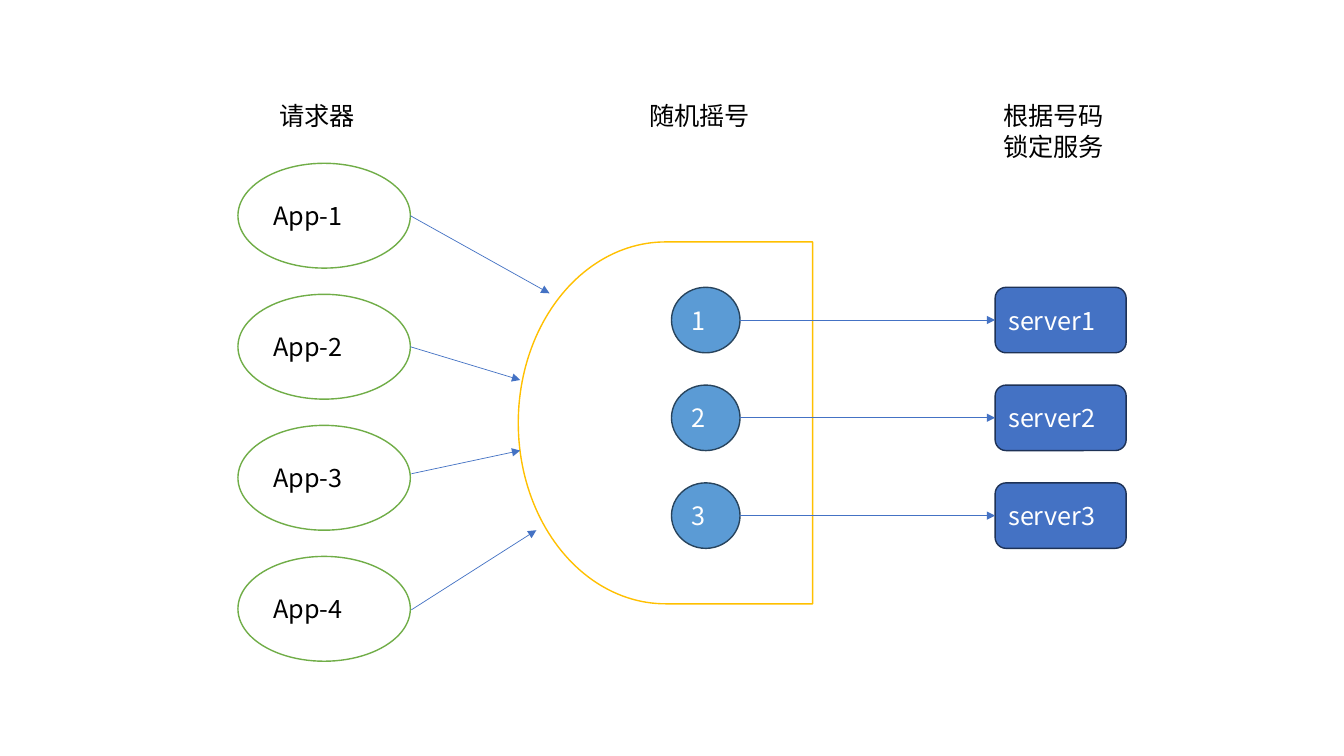
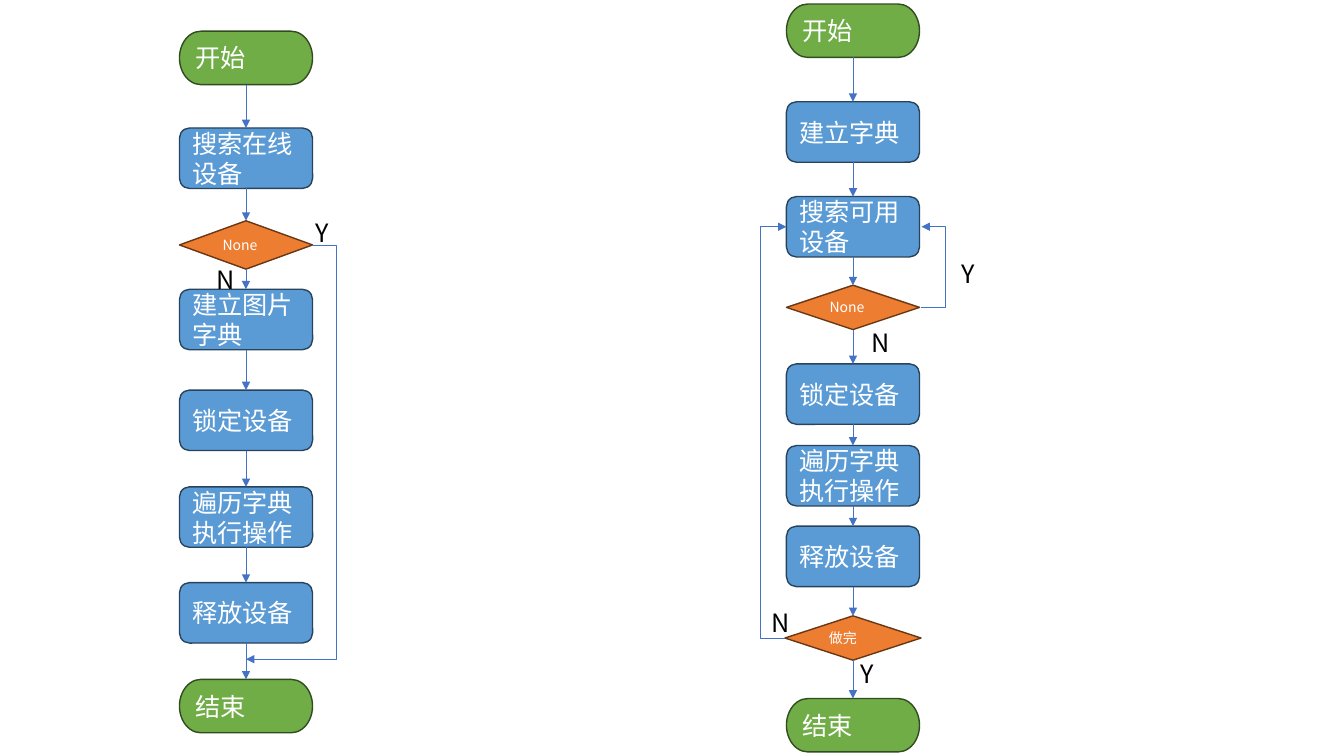
"""Builds two slides: a random server draw and a pair of device flowcharts."""
from dataclasses import dataclass
from itertools import pairwise
from typing import NamedTuple, Optional

from lxml.etree import SubElement
from pptx import Presentation
from pptx.dml.color import RGBColor
from pptx.enum.shapes import MSO_CONNECTOR as Connector, MSO_SHAPE as Preset
from pptx.oxml.ns import qn
from pptx.shapes.autoshape import Shape
from pptx.shapes.connector import Connector as ConnectorShape
from pptx.slide import Slide
from pptx.text.text import TextFrame
from pptx.util import Inches, Pt


@dataclass(frozen=True)
class Theme:
    font: str = "Noto Sans CJK SC"
    body: float = 18
    small: float = 10
    outline: float = 1
    arrow_width: float = 0.5
    black: str = "000000"
    white: str = "FFFFFF"
    arrow: str = "4472C4"
    green: str = "70AD47"
    green_edge: str = "314C1F"
    light_blue: str = "5B9BD5"
    light_blue_edge: str = "28445D"
    blue: str = "4472C4"
    blue_edge: str = "1E3256"
    orange: str = "ED7D31"
    orange_edge: str = "683715"
    gold: str = "FFC000"


THEME = Theme()


class Point(NamedTuple):
    x: float
    y: float


class Box(NamedTuple):
    left: float
    top: float
    width: float
    height: float


@dataclass(frozen=True)
class Look:
    preset: Preset
    fill: str
    edge: str
    text: str = THEME.white
    size: float = THEME.body


APP = Look(Preset.OVAL, THEME.white, THEME.green, THEME.black)
DRAW_AREA = Look(Preset.FLOWCHART_DELAY, THEME.white, THEME.gold)
NUMBER = Look(Preset.FLOWCHART_CONNECTOR, THEME.light_blue, THEME.light_blue_edge)
SERVER = Look(Preset.ROUNDED_RECTANGLE, THEME.blue, THEME.blue_edge)
TERMINAL = Look(Preset.FLOWCHART_TERMINATOR, THEME.green, THEME.green_edge)
PROCESS = Look(Preset.ROUNDED_RECTANGLE, THEME.light_blue, THEME.light_blue_edge)
DECISION = Look(Preset.FLOWCHART_DECISION, THEME.orange, THEME.orange_edge, size=THEME.small)

STEP_WIDTH = 1.32


class Step(NamedTuple):
    look: Look
    text: str
    top: float
    height: float
    width: float = STEP_WIDTH


class Detour(NamedTuple):
    start: Point
    end: Point
    lane: float


class Label(NamedTuple):
    text: str
    box: Box
    wrap: bool = True


class Flow(NamedTuple):
    left: float
    steps: list[Step]
    detours: list[Detour]
    labels: list[Label]


class Request(NamedTuple):
    text: str
    start: Point
    end: Point


HEADINGS = [
    Label("请求器", Box(2.67, 0.95, 1.1, 0.4)),
    Label("随机摇号", Box(6.34, 0.95, 1.3, 0.4)),
    Label("根据号码锁定服务", Box(9.85, 0.95, 1.3, 0.71)),
]

REQUESTS = [
    Request("App-1", Point(4.07, 2.14), Point(5.45, 2.91)),
    Request("App-2", Point(4.07, 3.44), Point(5.16, 3.77)),
    Request("App-3", Point(4.08, 4.7), Point(5.16, 4.47)),
    Request("App-4", Point(4.08, 6.05), Point(5.32, 5.26)),
]


def branch(text: str, left: float, top: float) -> Label:
    """Return a Y or N label that does not wrap."""
    return Label(text, Box(left, top, 0.36, 0.4), wrap=False)


FLOWS = [
    Flow(
        1.78,
        [
            Step(TERMINAL, "开始", 0.31, 0.53),
            Step(PROCESS, "搜索在线设备", 1.27, 0.6),
            Step(DECISION, "None", 2.19, 0.48),
            Step(PROCESS, "建立图片字典", 2.87, 0.6),
            Step(PROCESS, "锁定设备", 3.87, 0.6),
            Step(PROCESS, "遍历字典执行操作", 4.83, 0.6),
            Step(PROCESS, "释放设备", 5.78, 0.6),
            Step(TERMINAL, "结束", 6.74, 0.53),
        ],
        [Detour(Point(3.09, 2.43), Point(2.44, 6.54), 3.34)],
        [branch("N", 2.05, 2.57), branch("Y", 3.03, 2.11)],
    ),
    Flow(
        7.8,
        [
            Step(TERMINAL, "开始", 0.04, 0.53),
            Step(PROCESS, "建立字典", 1.01, 0.6),
            Step(PROCESS, "搜索可用设备", 1.95, 0.6),
            Step(DECISION, "None", 2.83, 0.44),
            Step(PROCESS, "锁定设备", 3.61, 0.6),
            Step(PROCESS, "遍历字典执行操作", 4.42, 0.6),
            Step(PROCESS, "释放设备", 5.22, 0.6),
            Step(DECISION, "做完", 6.11, 0.44, 1.35),
            Step(TERMINAL, "结束", 6.93, 0.53),
        ],
        [
            Detour(Point(9.13, 3.05), Point(9.14, 2.25), 9.38),
            Detour(Point(7.79, 6.33), Point(7.8, 2.25), 7.54),
        ],
        [
            branch("N", 8.55, 3.2),
            branch("Y", 9.44, 2.51),
            branch("N", 7.55, 5.98),
            branch("Y", 8.44, 6.48),
        ],
    ),
]


def write(text_frame: TextFrame, text: str, size: float, color: str) -> None:
    """Set the text and format its runs."""
    text_frame.text = text
    for paragraph in text_frame.paragraphs:
        for run in paragraph.runs:
            run.font.size = Pt(size)
            run.font.color.rgb = RGBColor.from_string(color)
            run.font.name = THEME.font
            SubElement(run.font._element, qn("a:ea"), typeface=THEME.font)


def add_node(slide: Slide, look: Look, box: Box, text: str = "") -> Shape:
    """Draw a preset shape with an optional centred text."""
    shape = slide.shapes.add_shape(look.preset, *map(Inches, box))
    shape.shadow.inherit = False
    shape.fill.solid()
    shape.fill.fore_color.rgb = RGBColor.from_string(look.fill)
    shape.line.color.rgb = RGBColor.from_string(look.edge)
    shape.line.width = Pt(THEME.outline)
    if text:
        write(shape.text_frame, text, look.size, look.text)
    return shape


def add_label(slide: Slide, label: Label) -> None:
    """Draw a plain text box."""
    shape = slide.shapes.add_textbox(*map(Inches, label.box))
    shape.text_frame.word_wrap = label.wrap
    write(shape.text_frame, label.text, THEME.body, THEME.black)


def add_arrow(
    slide: Slide, start: Point, end: Point, lane: Optional[float] = None
) -> ConnectorShape:
    """Draw a straight arrow, or an elbow that runs along a vertical lane."""
    kind = Connector.STRAIGHT if lane is None else Connector.ELBOW
    arrow = slide.shapes.add_connector(kind, *map(Inches, (*start, *end)))
    arrow.line.color.rgb = RGBColor.from_string(THEME.arrow)
    arrow.line.width = Pt(THEME.arrow_width)
    properties = arrow._element.spPr
    SubElement(properties.find(qn("a:ln")), qn("a:tailEnd"), type="triangle")
    SubElement(properties, qn("a:effectLst"))
    if lane is not None:
        ratio = round((lane - start.x) / (end.x - start.x) * 100000)
        adjustments = properties.find(qn("a:prstGeom")).get_or_add_avLst()
        SubElement(adjustments, qn("a:gd"), name="adj1", fmla=f"val {ratio}")
    return arrow


def draw_lottery(slide: Slide) -> None:
    """Draw apps whose requests draw a number that picks a server."""
    for index, request in enumerate(REQUESTS):
        add_node(slide, APP, Box(2.36, 1.62 + 1.3 * index, 1.71, 1.04), request.text)
    add_node(slide, DRAW_AREA, Box(5.14, 2.4, 2.92, 3.59)).rotation = 180
    for index in range(3):
        top, height = 2.85 + 0.97 * index, 0.65
        middle = top + height / 2
        add_node(slide, NUMBER, Box(6.66, top, 0.68, height), f"{index + 1}")
        server = add_node(slide, SERVER, Box(9.87, top, 1.3, height), f"server{index + 1}")
        arrow = add_arrow(slide, Point(7.34, middle), Point(9.87, middle))
        arrow.end_connect(server, 1)
    for request in REQUESTS:
        add_arrow(slide, request.start, request.end)
    for heading in HEADINGS:
        add_label(slide, heading)


def draw_flow(slide: Slide, flow: Flow) -> None:
    """Draw a column of joined steps with its detours and branch labels."""
    center = flow.left + STEP_WIDTH / 2
    nodes = [
        add_node(
            slide,
            step.look,
            Box(center - step.width / 2, step.top, step.width, step.height),
            step.text,
        )
        for step in flow.steps
    ]
    for (step, node), (next_step, next_node) in pairwise(zip(flow.steps, nodes)):
        start = Point(center, step.top + step.height)
        arrow = add_arrow(slide, start, Point(center, next_step.top))
        arrow.begin_connect(node, 2)
        arrow.end_connect(next_node, 0)
    for detour in flow.detours:
        add_arrow(slide, detour.start, detour.end, detour.lane)
    for label in flow.labels:
        add_label(slide, label)


def main() -> None:
    """Build and save the presentation."""
    presentation = Presentation()
    presentation.slide_width = Inches(13.33)
    presentation.slide_height = Inches(7.5)
    blank_layout = presentation.slide_layouts[6]
    draw_lottery(presentation.slides.add_slide(blank_layout))
    flow_slide = presentation.slides.add_slide(blank_layout)
    for flow in FLOWS:
        draw_flow(flow_slide, flow)
    presentation.save("out.pptx")


if __name__ == "__main__":
    main()
